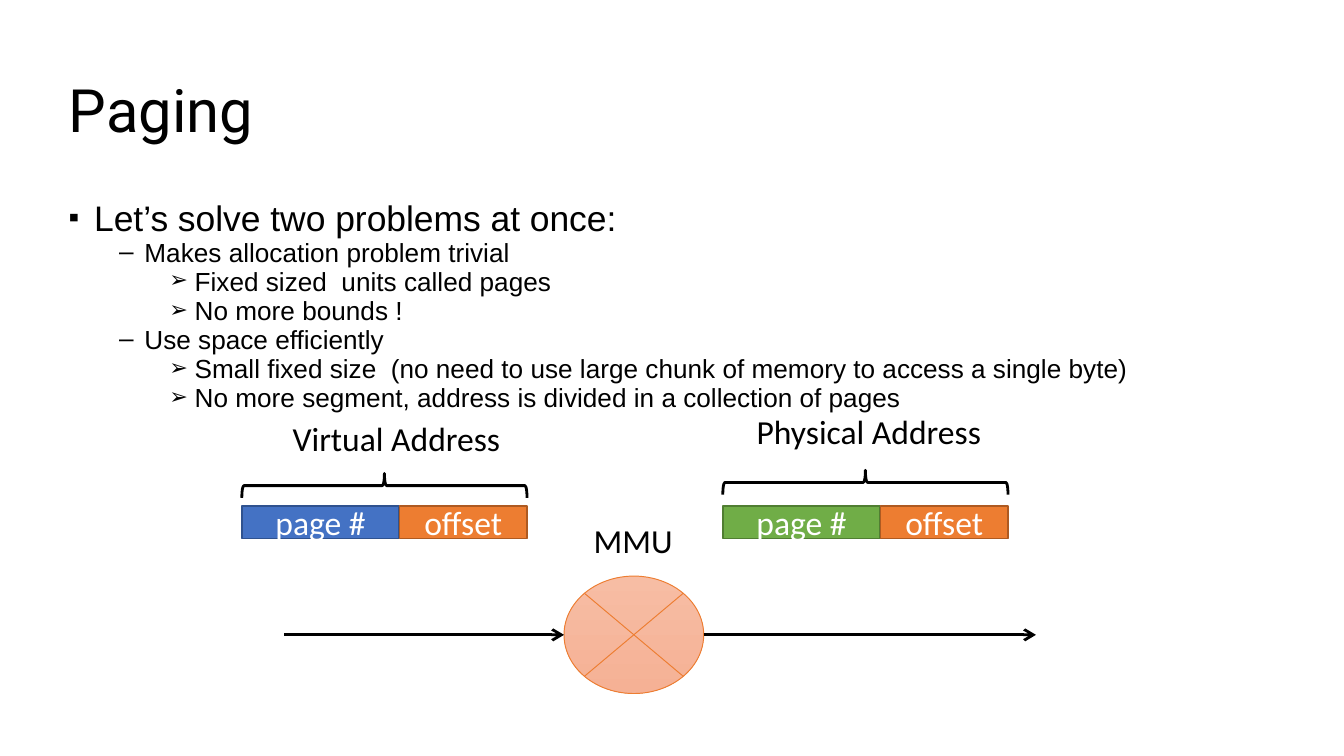
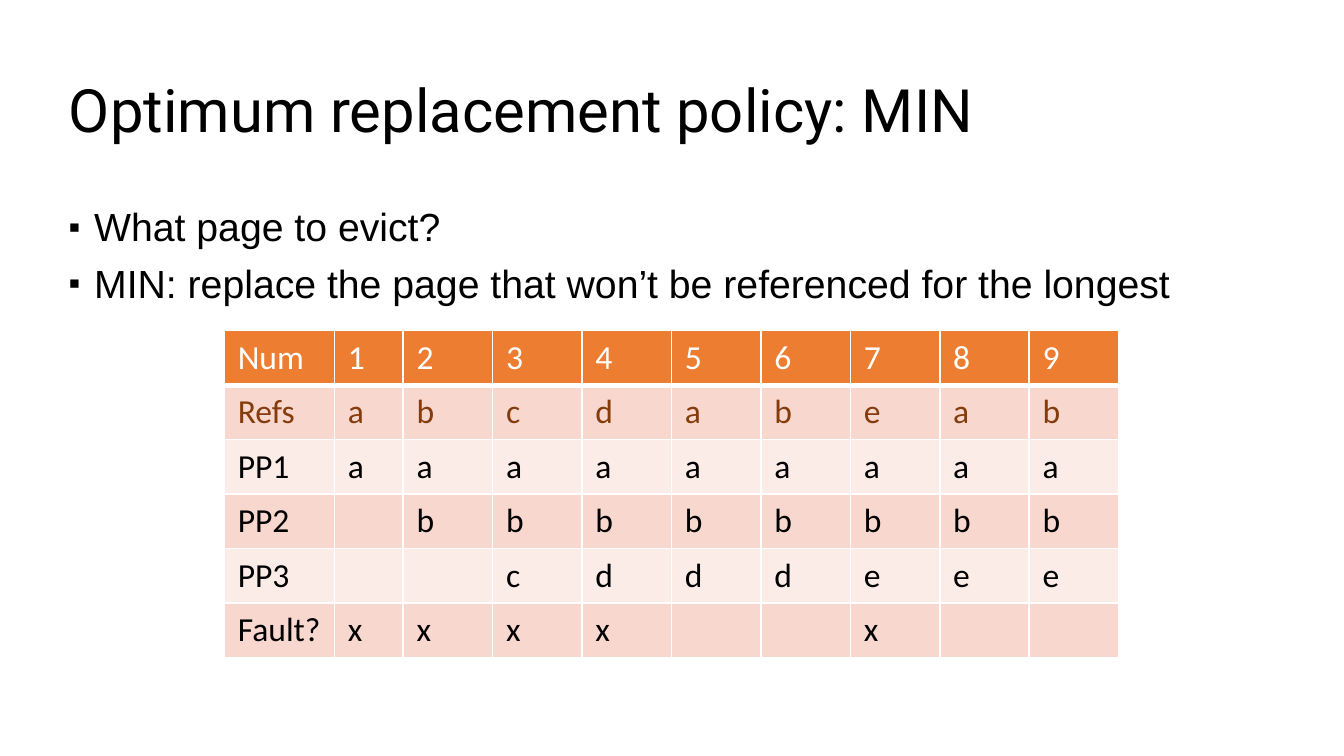
import dataclasses

import lxml.etree
import pptx
import pptx.dml.color
import pptx.enum.shapes
import pptx.enum.text
import pptx.oxml.ns
import pptx.util

Cm = pptx.util.Cm
Pt = pptx.util.Pt
SHAPE = pptx.enum.shapes.MSO_SHAPE
ALIGN = pptx.enum.text.PP_ALIGN
ANCHOR = pptx.enum.text.MSO_ANCHOR
AUTO_SIZE = pptx.enum.text.MSO_AUTO_SIZE


@dataclasses.dataclass(frozen=True)
class Theme:
    black: str = "000000"
    white: str = "FFFFFF"
    blue: str = "4472C4"
    blue_edge: str = "2F528F"
    orange: str = "ED7D31"
    orange_edge: str = "AE5A21"
    green: str = "70AD47"
    green_edge: str = "507E32"
    brown: str = "843C0C"
    peach_top: str = "F7BDA4"
    peach_bottom: str = "F5B195"
    band_dark: str = "F8D7CE"
    band_light: str = "FCECE8"
    title_font: str = "Roboto"
    body_font: str = "Arial"
    diagram_font: str = "Calibri"
    title_size: int = 32
    question_size: int = 21
    lead_size: int = 19
    diagram_size: int = 18
    detail_size: int = 14


# Bullet sign, its size in percent and the space before, by level
BULLETS = [("▪", 85, 7.5), ("–", 100, 3.8), ("➢", 85, 3.8)]
BULLET_HANG = Cm(0.48)
LEVEL_STEP = Cm(0.95)


def rgb(value):
    return pptx.dml.color.RGBColor.from_string(value)


def add_element(parent, tag, **attributes):
    element = lxml.etree.SubElement(parent, pptx.oxml.ns.qn(tag))
    for name, value in attributes.items():
        element.set(name, str(value))
    return element


def write_text(paragraph, text, *, font, size, color, align=ALIGN.LEFT,
               line_spacing=None, space_before=None):
    paragraph.alignment = align
    if line_spacing is not None:
        paragraph.line_spacing = line_spacing
    if space_before is not None:
        paragraph.space_before = Pt(space_before)
    run = paragraph.add_run()
    run.text = text
    run.font.name = font
    run.font.size = Pt(size)
    run.font.bold = False
    run.font.color.rgb = rgb(color)


class Deck:
    """Holds the style and the slide being built."""

    def __init__(self, theme):
        self.theme = theme
        self.presentation = pptx.Presentation()
        self.presentation.slide_width = Cm(25.4)
        self.presentation.slide_height = Cm(14.29)
        self.slide = None

    def diagram_text(self, paragraph, text, color, **options):
        write_text(paragraph, text, font=self.theme.diagram_font,
                   size=self.theme.diagram_size, color=color, **options)

    def start_slide(self, title):
        layout = self.presentation.slide_layouts.get_by_name("Title Only")
        self.slide = self.presentation.slides.add_slide(layout)
        shape = self.slide.shapes.title
        shape.left, shape.top = Cm(1.05), Cm(0.76)
        shape.width, shape.height = Cm(23.34), Cm(2.77)
        frame = shape.text_frame
        frame.auto_size = AUTO_SIZE.NONE
        frame.vertical_anchor = ANCHOR.MIDDLE
        write_text(frame.paragraphs[0], title, font=self.theme.title_font,
                   size=self.theme.title_size, color=self.theme.black,
                   line_spacing=0.9)

    def bullets(self, items, sizes, line_spacing):
        """Write (level, text) items with one type size per level."""
        box = self.slide.shapes.add_textbox(Cm(1.05), Cm(3.81), Cm(23.34), Cm(8.03))
        frame = box.text_frame
        frame.word_wrap = True
        for index, (level, text) in enumerate(items):
            paragraph = frame.add_paragraph() if index else frame.paragraphs[0]
            sign, percent, space_before = BULLETS[level]
            paragraph.level = level
            properties = paragraph._p.get_or_add_pPr()
            properties.set("marL", str(BULLET_HANG + level * LEVEL_STEP))
            properties.set("indent", str(-BULLET_HANG))
            add_element(properties, "a:buSzPct", val=percent * 1000)
            add_element(properties, "a:buFont", typeface=self.theme.body_font)
            add_element(properties, "a:buChar", char=sign)
            write_text(paragraph, text, font=self.theme.body_font,
                       size=sizes[level], color=self.theme.black,
                       line_spacing=line_spacing,
                       space_before=space_before if index else None)

    def label(self, text, left, top, width):
        box = self.slide.shapes.add_textbox(Cm(left), Cm(top), Cm(width), Cm(1.02))
        box.text_frame.word_wrap = False
        box.text_frame.auto_size = AUTO_SIZE.SHAPE_TO_FIT_TEXT
        self.diagram_text(box.text_frame.paragraphs[0], text, self.theme.black)

    def shape(self, kind, left, top, width, height, line, line_width, fill=None):
        shape = self.slide.shapes.add_shape(kind, Cm(left), Cm(top), Cm(width), Cm(height))
        shape.shadow.inherit = False
        shape.line.color.rgb = rgb(line)
        shape.line.width = Pt(line_width)
        if fill:
            shape.fill.solid()
            shape.fill.fore_color.rgb = rgb(fill)
        else:
            shape.fill.background()
        return shape

    def field(self, text, left, top, width, height, fill, edge):
        shape = self.shape(SHAPE.RECTANGLE, left, top, width, height, edge, 1, fill)
        shape.text_frame.vertical_anchor = ANCHOR.MIDDLE
        self.diagram_text(shape.text_frame.paragraphs[0], text,
                          self.theme.white, align=ALIGN.CENTER)

    def brace(self, center, middle, span, depth):
        """Draw a brace that opens downwards over the given span."""
        shape = self.shape(SHAPE.LEFT_BRACE, center - depth / 2, middle - span / 2,
                           depth, span, self.theme.black, 1.5)
        shape.rotation = 90

    def junction(self, left, top, width, height):
        shape = self.shape(SHAPE.FLOWCHART_SUMMING_JUNCTION, left, top, width,
                           height, self.theme.orange, 0.5)
        shape.fill.gradient()
        shape.fill.gradient_angle = 270
        colors = (self.theme.peach_top, self.theme.peach_bottom)
        for stop, color in zip(shape.fill.gradient_stops, colors):
            stop.color.rgb = rgb(color)

    def arrow(self, start, end, height):
        connector = self.slide.shapes.add_connector(
            pptx.enum.shapes.MSO_CONNECTOR.STRAIGHT,
            Cm(start), Cm(height), Cm(end), Cm(height))
        connector.line.color.rgb = rgb(self.theme.black)
        connector.line.width = Pt(1.5)
        add_element(connector.line._ln, "a:tailEnd", type="arrow")
        add_element(connector._element.spPr, "a:effectLst")

    def cell(self, cell, text, fill, color, bottom_width):
        properties = cell._tc.get_or_add_tcPr()
        for side, width in zip("LRTB", (1, 1, 1, bottom_width)):
            border = add_element(properties, f"a:ln{side}", w=Pt(width))
            solid = add_element(border, "a:solidFill")
            add_element(solid, "a:srgbClr", val=self.theme.white)
        cell.fill.solid()
        cell.fill.fore_color.rgb = rgb(fill)
        if text.strip():
            self.diagram_text(cell.text_frame.paragraphs[0], text, color)

    def table(self, rows, left, top, widths, row_height):
        frame = self.slide.shapes.add_table(
            len(rows), len(widths), Cm(left), Cm(top),
            Cm(sum(widths)), Cm(row_height * len(rows)))
        table = frame.table
        table.first_row = False
        table.horz_banding = False
        for column, width in zip(table.columns, widths):
            column.width = Cm(width)
        bands = (self.theme.band_light, self.theme.band_dark)
        text_colors = {0: self.theme.white, 1: self.theme.brown}
        for index, (name, marks) in enumerate(rows):
            table.rows[index].height = Cm(row_height)
            fill = bands[index % 2] if index else self.theme.orange
            color = text_colors.get(index, self.theme.black)
            for column, text in enumerate([name, *marks]):
                self.cell(table.cell(index, column), text, fill, color,
                          1 if index else 3)


def build_paging(deck):
    theme = deck.theme
    deck.start_slide("Paging")
    deck.bullets([
        (0, "Let’s solve two problems at once:"),
        (1, "Makes allocation problem trivial"),
        (2, "Fixed sized  units called pages"),
        (2, "No more bounds !"),
        (1, "Use space efficiently"),
        (2, "Small fixed size  (no need to use large chunk of memory to access a single byte)"),
        (2, "No more segment, address is divided in a collection of pages"),
    ], (theme.lead_size, theme.detail_size, theme.detail_size), 0.7)

    # Translation unit between the two addresses
    unit_left, unit_width, unit_top, unit_height = 10.66, 2.64, 10.89, 2.22
    axis = unit_top + unit_height / 2
    deck.junction(unit_left, unit_top, unit_width, unit_height)
    deck.arrow(5.37, unit_left, axis)
    deck.arrow(unit_left + unit_width, 19.58, axis)
    deck.label("MMU", 10.97, 9.7, 2.01)

    # Addresses, each a page field and an offset field under a brace
    page_width, offset_width = 2.98, 2.41
    span = page_width + offset_width
    addresses = [
        (4.57, theme.blue, theme.blue_edge, 9.18, "Virtual Address", 5.28, 7.77, 4.5),
        (13.66, theme.green, theme.green_edge, 9.12, "Physical Address", 14.05, 7.65, 4.83),
    ]
    for left, fill, edge, brace_middle, *label in addresses:
        deck.field("page #", left, 9.57, page_width, 0.61, fill, edge)
        deck.field("offset", left + page_width, 9.57, offset_width, 0.61,
                   theme.orange, theme.orange_edge)
        deck.brace(left + span / 2, brace_middle, span, 0.46)
        deck.label(*label)


def build_replacement(deck):
    deck.start_slide("Optimum replacement policy: MIN")
    deck.bullets([
        (0, "What page to evict?"),
        (0, "MIN: replace the page that won’t be referenced for the longest"),
    ], (deck.theme.question_size,), 0.9)

    # One character per reference; a space is an empty cell
    rows = [
        ("Num", "123456789"),
        ("Refs", "abcdabeab"),
        ("PP1", "aaaaaaaaa"),
        ("PP2", " bbbbbbbb"),
        ("PP3", "  cdddeee"),
        ("Fault?", "xxxx  x  "),
    ]
    deck.table(rows, 4.24, 6.25, [2.08, 1.3] + [1.69] * 8, 1.03)


def main():
    deck = Deck(Theme())
    build_paging(deck)
    build_replacement(deck)
    deck.presentation.save("out.pptx")


if __name__ == "__main__":
    main()
